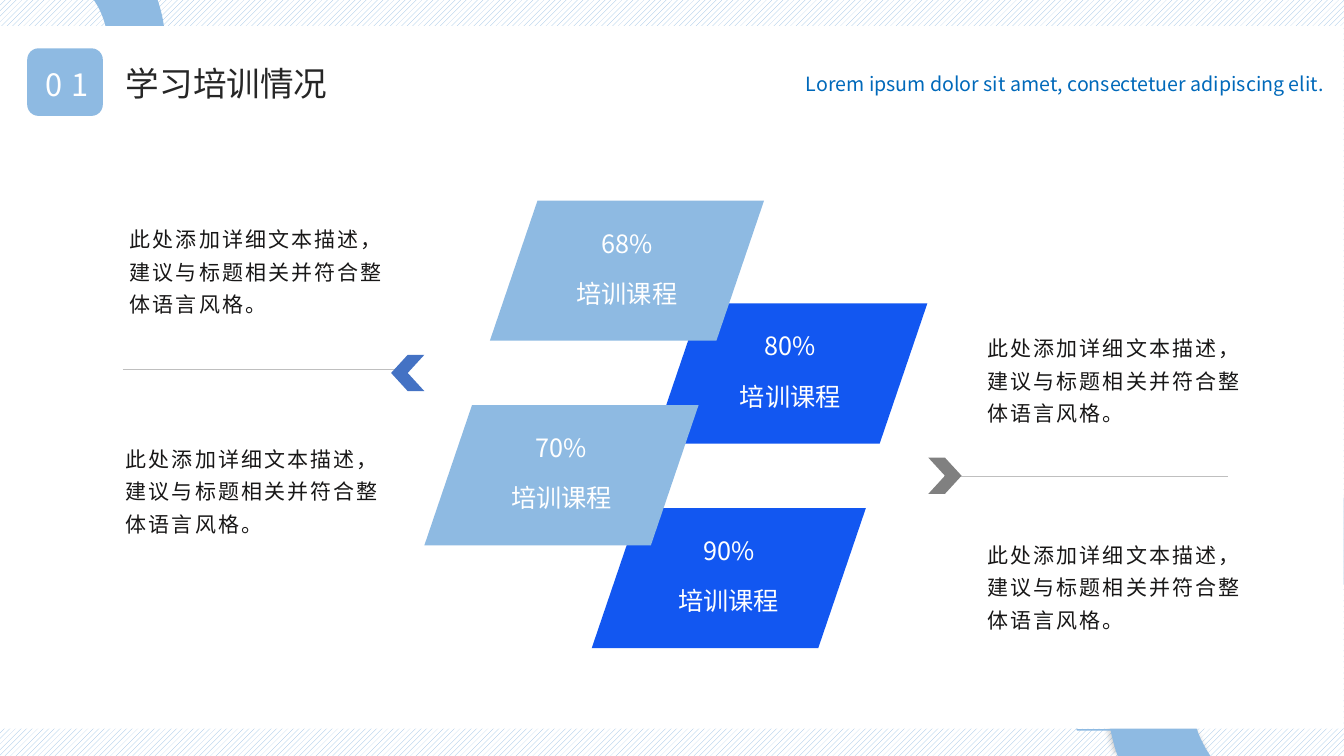
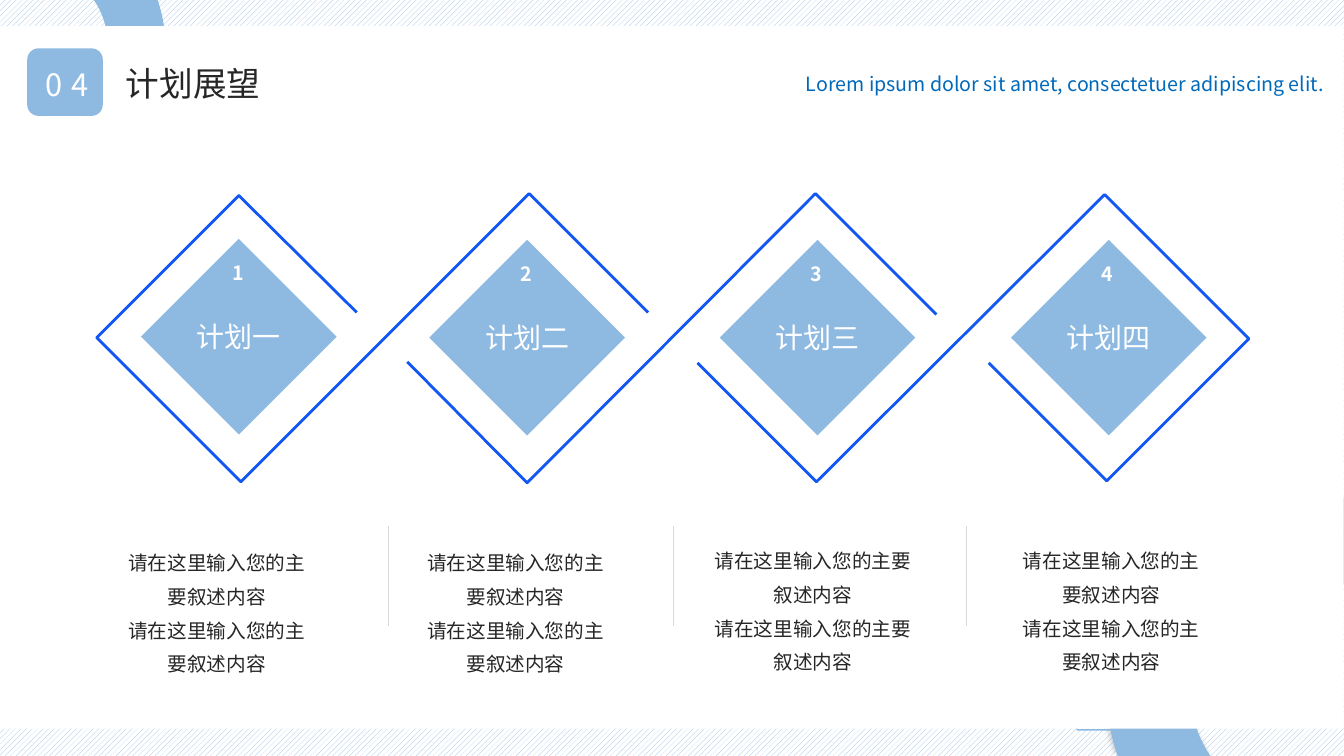
import math
from dataclasses import dataclass

from lxml import etree
from pptx import Presentation
from pptx import util as u
from pptx.dml import color
from pptx.enum import dml, shapes, text
from pptx.oxml import ns

EMU_PER_PX = 9144
HEIGHT = 750
WIDTH = HEIGHT * 16 / 9
SHAPE, ALIGN = shapes.MSO_SHAPE, text.PP_ALIGN
MIDDLE, TOP = text.MSO_ANCHOR.MIDDLE, text.MSO_ANCHOR.TOP
rgb = color.RGBColor.from_string


@dataclass(frozen=True)
class Theme:
    font: str = "Noto Sans CJK SC"
    light: color.RGBColor = rgb("8EBAE2")
    strong: color.RGBColor = rgb("1257F1")
    tagline: color.RGBColor = rgb("0069BA")
    ink: color.RGBColor = rgb("262626")
    body: color.RGBColor = rgb("181717")
    rule: color.RGBColor = rgb("BFBFBF")
    divider: color.RGBColor = rgb("D9D9D9")
    left_arrow: color.RGBColor = rgb("4472C4")
    right_arrow: color.RGBColor = rgb("808080")
    white: color.RGBColor = rgb("FFFFFF")
    title_size: int = 24
    badge_size: int = 22
    plan_size: int = 20
    tile_size: int = 18
    body_size: int = 15
    small_size: int = 14


THEME = Theme()
TAGLINE = "Lorem ipsum dolor sit amet, consectetuer adipiscing elit."
DESCRIPTION = "此处添加详细文本描述，建议与标题相关并符合整体语言风格。"
PLAN_NOTE = "请在这里输入您的主要叙述内容"


def px(length):
    return u.Emu(round(length * EMU_PER_PX))


def write_text(shape, *lines, size, colour, align=ALIGN.LEFT, anchor=MIDDLE,
               bold=False, tracking=0, line_spacing=None,
               insets=(10, 5, 10, 5), wrap=True):
    """Write one paragraph per line; insets are left, top, right, bottom."""
    frame = shape.text_frame
    frame.word_wrap = wrap
    frame.vertical_anchor = anchor
    (frame.margin_left, frame.margin_top,
     frame.margin_right, frame.margin_bottom) = map(px, insets)
    for index, line in enumerate(lines):
        paragraph = frame.add_paragraph() if index else frame.paragraphs[0]
        paragraph.alignment = align
        if line_spacing:
            paragraph.line_spacing = line_spacing
        run = paragraph.add_run()
        run.text = line
        run.font.size = u.Pt(size)
        run.font.bold = bold
        run.font.color.rgb = colour
        run.font.name = THEME.font
        properties = run._r.get_or_add_rPr()
        etree.SubElement(properties, ns.qn("a:ea"), typeface=THEME.font)
        if tracking:
            properties.set("spc", str(round(tracking * 100)))


def add_text(slide, box, *lines, **text_format):
    write_text(slide.shapes.add_textbox(*map(px, box)), *lines, **text_format)


def paint(shape, fill=None, line=None, line_width=1):
    shape.shadow.inherit = False
    if fill is None:
        shape.fill.background()
    else:
        shape.fill.solid()
        shape.fill.fore_color.rgb = fill
    if line is None:
        shape.line.fill.background()
    else:
        shape.line.color.rgb = line
        shape.line.width = u.Pt(line_width)


def add_shape(slide, preset, box, fill):
    shape = slide.shapes.add_shape(preset, *map(px, box))
    paint(shape, fill)
    return shape


def add_path(slide, points, closed=False, **paint_format):
    scaled = [(px(x), px(y)) for x, y in points]
    builder = slide.shapes.build_freeform(*scaled[0])
    builder.add_line_segments(scaled[1:], close=closed)
    shape = builder.convert_to_shape()
    paint(shape, **paint_format)
    return shape


def add_rule(slide, start, end, colour):
    line = slide.shapes.add_connector(
        shapes.MSO_CONNECTOR.STRAIGHT, *map(px, start + end))
    line.line.color.rgb = colour
    line.line.width = u.Pt(0.25)
    etree.SubElement(line._element.spPr, ns.qn("a:effectLst"))


def arc(center, radius, *angles):
    """Bezier points of an arc: its start, then two handles and an end per span."""
    def point(angle, along=0):
        cosine, sine = math.cos(angle), math.sin(angle)
        return (center[0] + radius * (cosine - along * sine),
                center[1] + radius * (sine + along * cosine))

    stops = [math.radians(angle) for angle in angles]
    points = [point(stops[0])]
    for start, end in zip(stops, stops[1:]):
        handle = 4 / 3 * math.tan((end - start) / 4)
        points += [point(start, handle), point(end, -handle), point(end)]
    return points


def merge_curves(segments):
    """Turn each run of three line segments into one cubic curve."""
    for first, second, third in zip(*[iter(segments)] * 3):
        first.tag = ns.qn("a:cubicBezTo")
        for segment in (second, third):
            first.append(segment[0])
            segment.getparent().remove(segment)


def add_ring(slide, center, outer, inner, **paint_format):
    """Draw a cut ring; outer and inner are a radius and the span angles."""
    outside, inside = arc(center, *outer), arc(center, *inner)[::-1]
    shape = add_path(slide, outside + inside, closed=True, **paint_format)
    segments = list(shape._element.iter(ns.qn("a:lnTo")))
    curved = len(outside) - 1
    merge_curves(segments[:curved])
    merge_curves(segments[curved + 1:])
    return shape


def add_soft_shadow(shape):
    effects = shape._element.spPr.find(ns.qn("a:effectLst"))
    shadow = etree.SubElement(
        effects, ns.qn("a:outerShdw"), blurRad=str(u.Pt(4)),
        dist=str(u.Pt(3)), dir=str(225 * 60000), algn="br", rotWithShape="0")
    shade = etree.SubElement(shadow, ns.qn("a:srgbClr"), val="000000")
    etree.SubElement(shade, ns.qn("a:alpha"), val="20000")


def draw_backdrop(slide):
    hatch = add_shape(slide, SHAPE.RECTANGLE, (0, 0, WIDTH, HEIGHT), THEME.white)
    hatch.fill.patterned()
    hatch.fill.pattern = dml.MSO_PATTERN.WIDE_UPWARD_DIAGONAL
    hatch.fill.fore_color.rgb = THEME.light
    hatch.fill.back_color.rgb = THEME.white

    add_ring(slide, (27, 45), (137, -19.2, 0, 90, 101.4),
             (80, -34.2, 0, 90, 109.7), fill=THEME.light)
    arcs = (196, 160.9, 180, 270, 281.5), (113, 145.5, 180, 270, 290.2)
    add_soft_shadow(add_ring(slide, (1294, 686), *arcs, fill=THEME.light))
    add_ring(slide, (1254, 660), *arcs, line=THEME.light)
    add_shape(slide, SHAPE.RECTANGLE, (-3, 26, 1336, 697), THEME.white)


def start_slide(presentation, number, title, title_width):
    slide = presentation.slides.add_slide(presentation.slide_layouts[6])
    draw_backdrop(slide)
    add_shape(slide, SHAPE.ROUNDED_RECTANGLE, (27, 48, 75, 67), THEME.light)
    add_text(slide, (115, 58, title_width, 50), title, size=THEME.title_size,
             colour=THEME.ink, anchor=TOP)
    add_text(slide, (728, 66, 605, 34), TAGLINE, size=THEME.small_size,
             colour=THEME.tagline, align=ALIGN.RIGHT, anchor=TOP,
             insets=(10, 5, 19, 5))
    add_text(slide, (16, 49, 101, 70), number, size=THEME.badge_size,
             colour=THEME.white, align=ALIGN.CENTER, tracking=6)
    return slide


def add_course_tile(slide, left, top, percent, fill):
    tile = add_shape(slide, SHAPE.PARALLELOGRAM, (left, top, 272, 139), fill)
    tile.adjustments[0] = 0.34
    caption = dict(size=THEME.tile_size, colour=THEME.white, align=ALIGN.CENTER)
    label = add_shape(slide, SHAPE.RECTANGLE, (left + 44, top + 66, 184, 56), fill)
    write_text(label, "培训课程", anchor=TOP, line_spacing=1.2, **caption)
    value = add_shape(slide, SHAPE.RECTANGLE, (left + 44, top + 18, 184, 48), fill)
    write_text(value, percent, **caption)


def add_chevron(slide, left, top, fill, rotation=0):
    chevron = add_shape(slide, SHAPE.CHEVRON, (left, top, 33, 36), fill)
    chevron.rotation = rotation


def add_training_slide(presentation):
    slide = start_slide(presentation, "01", "学习培训情况", 275)
    for left, top, percent, fill in (
            (648, 301, "80%", THEME.strong), (587, 504, "90%", THEME.strong),
            (486, 199, "68%", THEME.light), (421, 402, "70%", THEME.light)):
        add_course_tile(slide, left, top, percent, fill)

    add_rule(slide, (937, 472), (1218, 472), THEME.rule)
    add_chevron(slide, 921, 454, THEME.right_arrow)
    add_rule(slide, (122, 366), (402, 366), THEME.rule)
    add_chevron(slide, 388, 352, THEME.left_arrow, rotation=180)

    for left, top in ((119, 233), (970, 341), (115, 451), (970, 546)):
        add_text(slide, (left, top, 290, 66), DESCRIPTION, size=THEME.body_size,
                 colour=THEME.body, tracking=1.5, line_spacing=1.3)


def add_diamond(slide, center, side, label, size, bold=False):
    x, y = center
    box = (x - side // 2, y - side // 2, side, side)
    write_text(add_shape(slide, SHAPE.DIAMOND, box, THEME.light), label,
               size=size, bold=bold, colour=THEME.white, align=ALIGN.CENTER,
               insets=(0, 0, 0, 0), wrap=False)


def add_plan_slide(presentation):
    slide = start_slide(presentation, "04", "计划展望", 231)
    ribbons = (
        ((643, 310), (525, 192), (239, 478), (96, 335), (237, 194), (354, 310)),
        ((404, 359), (523, 479), (809, 192), (929, 312)),
        ((692, 360), (810, 478), (1096, 193), (1239, 336), (1098, 477), (981, 360)),
    )
    for points in ribbons:
        add_path(slide, points, line=THEME.strong, line_width=2)

    plans = (
        ("计划一", (237, 334), (112, 532, 206, 168)),
        ("计划二", (523, 335), (407, 532, 209, 168)),
        ("计划三", (811, 335), (698, 530, 217, 168)),
        ("计划四", (1100, 335), (998, 530, 209, 168)),
    )
    for number, (plan, (x, y), note_box) in enumerate(plans, start=1):
        add_diamond(slide, (x, y), 194, plan, THEME.plan_size)
        add_diamond(slide, (x - 1, y - 63), 36, str(number), THEME.small_size,
                    bold=True)
        add_text(slide, note_box, PLAN_NOTE, PLAN_NOTE, size=THEME.small_size,
                 colour=THEME.ink, align=ALIGN.CENTER, anchor=TOP,
                 line_spacing=u.Pt(24))

    for x in (385, 668, 959):
        add_rule(slide, (x, 522), (x, 621), THEME.divider)


def main():
    presentation = Presentation()
    presentation.slide_width = px(WIDTH)
    presentation.slide_height = px(HEIGHT)
    add_training_slide(presentation)
    add_plan_slide(presentation)
    presentation.save("out.pptx")


if __name__ == "__main__":
    main()
